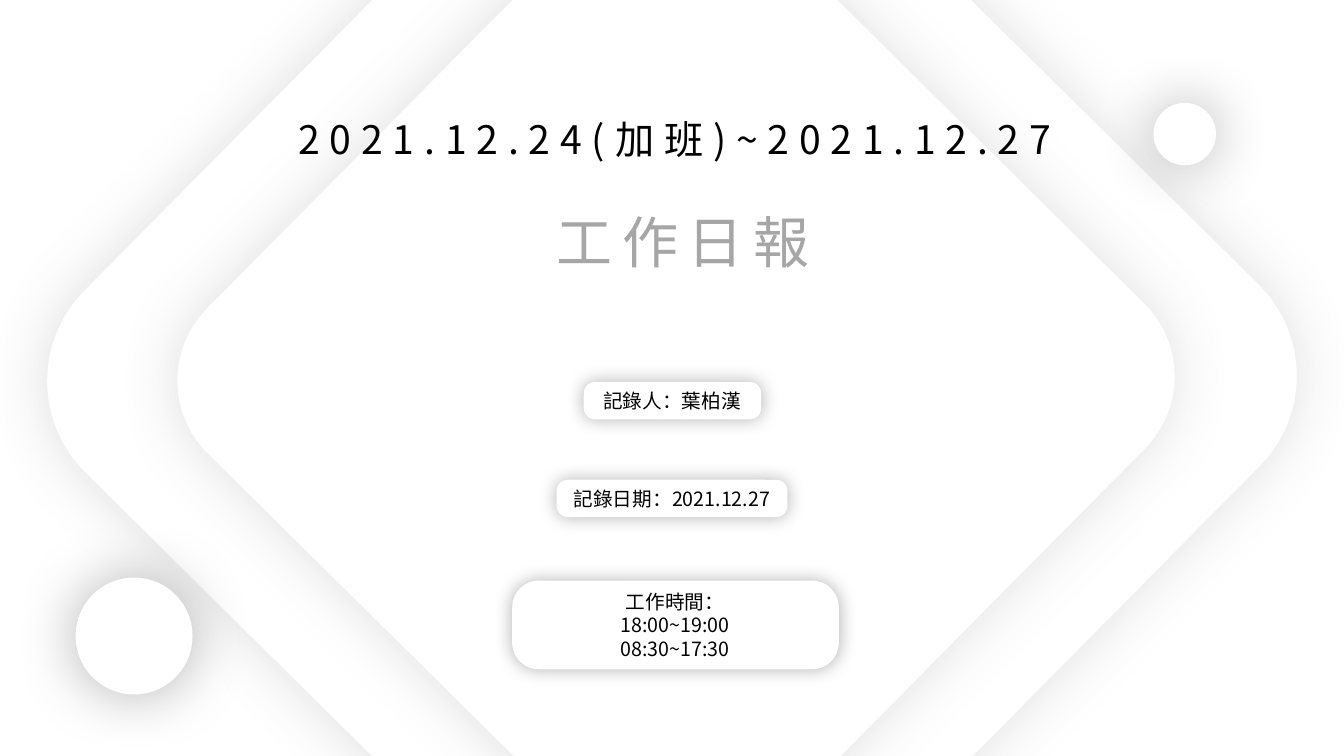
"""Build the cover slide of a daily work report."""
from lxml import etree
from pptx import Presentation
from pptx.dml.color import RGBColor
from pptx.enum.shapes import MSO_SHAPE
from pptx.enum.text import MSO_ANCHOR, MSO_AUTO_SIZE, PP_ALIGN
from pptx.oxml.ns import qn
from pptx.util import Inches, Pt

ROUNDED = MSO_SHAPE.ROUNDED_RECTANGLE
OVAL = MSO_SHAPE.OVAL
CENTER = PP_ALIGN.CENTER
TOP = MSO_ANCHOR.TOP
GROW = MSO_AUTO_SIZE.SHAPE_TO_FIT_TEXT

WHITE = RGBColor(0xFF, 0xFF, 0xFF)
BLACK = RGBColor(0x00, 0x00, 0x00)
GRAY = RGBColor(0xA6, 0xA6, 0xA6)
DARK_GRAY = RGBColor(0x59, 0x59, 0x59)
FONT = "Noto Sans CJK SC"


def write_text(text_frame, text, size=14, color=BLACK, spacing=0):
    text_frame.word_wrap = True
    text_frame.vertical_anchor = TOP
    text_frame.text = text
    text_frame.auto_size = GROW
    for paragraph in text_frame.paragraphs:
        paragraph.alignment = CENTER
        paragraph.line_spacing = 1.0
        paragraph.space_before = Pt(0)
        for run in paragraph.runs:
            run.font.size = Pt(size)
            run.font.name = FONT
            run.font.color.rgb = color
            properties = run.font._element
            etree.SubElement(properties, qn("a:ea"), typeface=FONT)
            if spacing:
                properties.set("spc", str(spacing * 100))


class CoverSlide:
    def __init__(self, presentation):
        self.slide = presentation.slides.add_slide(presentation.slide_layouts[0])
        self.slide.background.fill.solid()
        self.slide.background.fill.fore_color.rgb = WHITE

    def raised_shape(self, kind, box, color=BLACK, opacity=30, blur=43,
                     corner=None, rotation=0, shapes=None):
        shapes = self.slide.shapes if shapes is None else shapes
        shape = shapes.add_shape(kind, *map(Inches, box))
        shape.rotation = rotation
        if corner is not None:
            shape.adjustments[0] = corner
        shape.fill.solid()
        shape.fill.fore_color.rgb = WHITE
        shape.line.fill.background()
        shape.shadow.inherit = False
        effects = shape._element.spPr.find(qn("a:effectLst"))
        shadow = etree.SubElement(
            effects, qn("a:outerShdw"), blurRad=str(Pt(blur)), dist="0",
            dir="0", algn="ctr", rotWithShape="0")
        shade = etree.SubElement(shadow, qn("a:srgbClr"), val=str(color))
        etree.SubElement(shade, qn("a:alpha"), val=str(opacity * 1000))

    def diamond(self, box):
        self.raised_shape(ROUNDED, box, DARK_GRAY, 19, corner=0.134, rotation=44.7)

    def heading(self, index, text, box, **text_format):
        placeholder = self.slide.placeholders[index]
        placeholder.left, placeholder.top, placeholder.width, placeholder.height = map(Inches, box)
        write_text(placeholder.text_frame, text, **text_format)
        self.slide.shapes._spTree.append(placeholder._element)

    def card(self, text, card_box, text_box):
        group = self.slide.shapes.add_group_shape()
        self.raised_shape(ROUNDED, card_box, blur=13, corner=0.302, shapes=group.shapes)
        label = group.shapes.add_textbox(*map(Inches, text_box))
        write_text(label.text_frame, text)


def main():
    presentation = Presentation()
    presentation.slide_width = Inches(13.33)
    presentation.slide_height = Inches(7.5)
    cover = CoverSlide(presentation)

    cover.diamond((1.91, -1, 9.51, 9.51))
    cover.diamond((2.91, -0.04, 7.59, 7.59))
    cover.heading(1, "2021.12.24(加班)~2021.12.27", (2.66, 1.09, 8.07, 0.57),
                  size=28, spacing=7)
    cover.heading(0, "工作日報", (4.4, 2.01, 4.75, 0.77),
                  size=40, color=GRAY, spacing=7)
    cover.raised_shape(OVAL, (0.75, 5.73, 1.16, 1.16))
    cover.raised_shape(OVAL, (11.44, 1.02, 0.62, 0.62))

    cover.card("記錄人：葉柏漢", (5.79, 3.79, 1.76, 0.37), (5.62, 3.81, 2.09, 0.34))
    cover.card("記錄日期：2021.12.27", (5.52, 4.76, 2.29, 0.37), (5.46, 4.78, 2.41, 0.34))
    cover.card("工作時間：\n18:00~19:00\n08:30~17:30",
               (5.08, 5.76, 3.24, 0.88), (4.99, 5.8, 3.41, 0.81))

    presentation.save("out.pptx")


if __name__ == "__main__":
    main()
